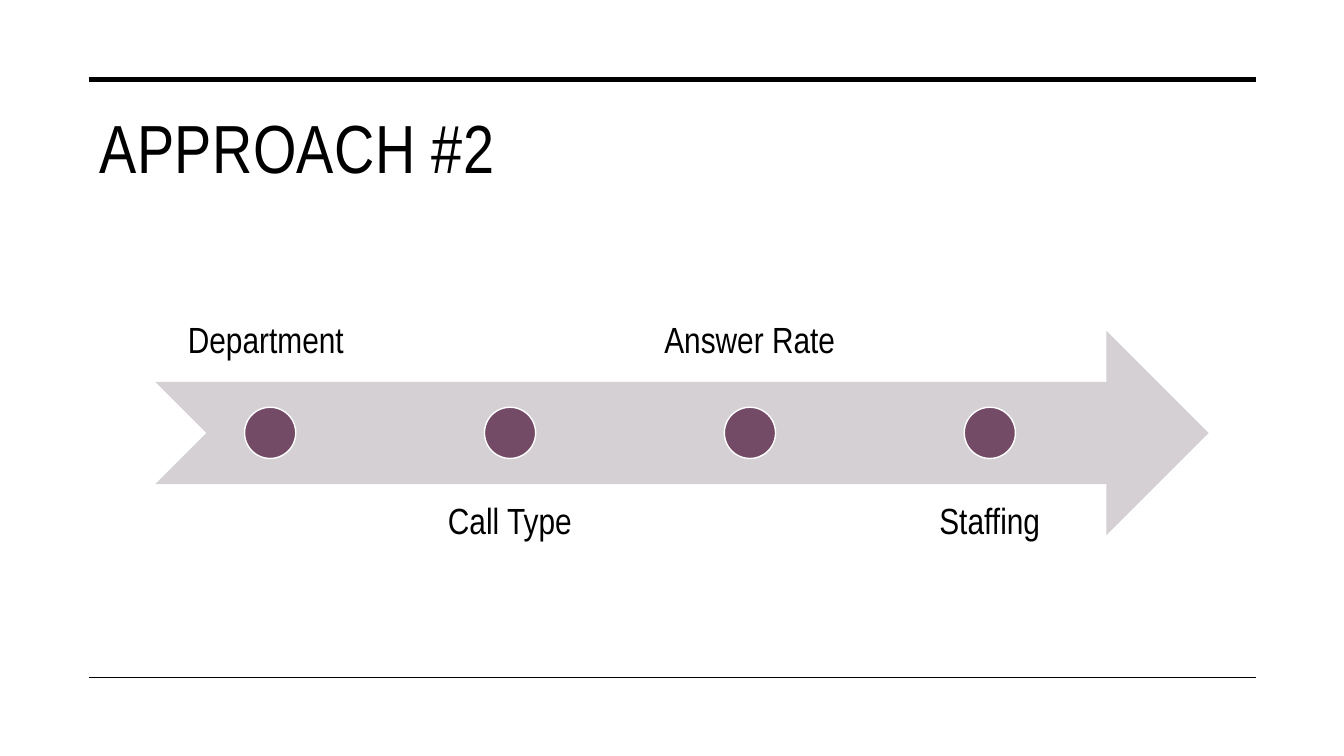
from pptx import Presentation
from pptx.dml.color import RGBColor
from pptx.enum.shapes import MSO_CONNECTOR, MSO_SHAPE
from pptx.enum.text import MSO_ANCHOR, PP_ALIGN
from pptx.oxml.ns import qn
from pptx.util import Pt
from lxml import etree

STRAIGHT = MSO_CONNECTOR.STRAIGHT
ARROW, DOT = MSO_SHAPE.NOTCHED_RIGHT_ARROW, MSO_SHAPE.OVAL
TOP, BOTTOM = MSO_ANCHOR.TOP, MSO_ANCHOR.BOTTOM
LEFT, CENTER = PP_ALIGN.LEFT, PP_ALIGN.CENTER

COLORS = {"ink": "000000", "arrow": "D5D0D3", "dot": "734B67", "ring": "FFFFFF"}
FONT = "Arial Narrow"
STEPS = ["Department ", "Call Type", "Answer Rate", "Staffing"]
STEP_LEFT, STEP_PITCH = 111.6, 171.36
LABEL_WIDTH, LABEL_HEIGHT = 162.72, 146.16
LABEL_TOPS = (126, 345.6)
DOT_SIZE, DOT_TOP = 36.6, 290.9


class SlideBuilder:
    """Draws styled elements on the current slide, with lengths in points."""

    def __init__(self, page):
        self.page = page

    def color(self, name):
        return RGBColor.from_string(COLORS[name])

    def rule(self, left, right, y, weight):
        line = self.page.shapes.add_connector(STRAIGHT, Pt(left), Pt(y), Pt(right), Pt(y))
        line.line.color.rgb = self.color("ink")
        line.line.width = Pt(weight)
        etree.SubElement(line._element.spPr, qn("a:effectLst"))

    def shape(self, kind, left, top, width, height, fill, outline=None):
        shape = self.page.shapes.add_shape(kind, Pt(left), Pt(top), Pt(width), Pt(height))
        shape.shadow.inherit = False
        shape.fill.solid()
        shape.fill.fore_color.rgb = self.color(fill)
        if outline:
            shape.line.color.rgb = self.color(outline)
            shape.line.width = Pt(1)
        else:
            shape.line.fill.background()

    def text(self, words, left, top, width, height, size, anchor, align,
             insets=(7.2, 3.6), line_spacing=1.0, tracking=0):
        box = self.page.shapes.add_textbox(Pt(left), Pt(top), Pt(width), Pt(height))
        frame = box.text_frame
        across, down = map(Pt, insets)
        frame_format = {"word_wrap": True, "vertical_anchor": anchor,
                        "margin_left": across, "margin_right": across,
                        "margin_top": down, "margin_bottom": down}
        for name, value in frame_format.items():
            setattr(frame, name, value)
        para = frame.paragraphs[0]
        para.alignment = align
        para.line_spacing = line_spacing
        span = para.add_run()
        span.text = words
        for name, value in {"name": FONT, "size": Pt(size)}.items():
            setattr(span.font, name, value)
        span.font.color.rgb = self.color("ink")
        if tracking:
            span._r.get_or_add_rPr().set("spc", str(round(tracking * 100)))


def main():
    deck = Presentation()
    deck.slide_width, deck.slide_height = Pt(960), Pt(540)
    builder = SlideBuilder(deck.slides.add_slide(deck.slide_layouts[6]))

    for y, weight in ((56.9, 3.5), (483.8, 1)):
        builder.rule(63.36, 897.12, y, weight)
    builder.text("APPROACH #2", 64.1, 69.8, 776.2, 67.7, 48.6, BOTTOM, LEFT, tracking=0.3)

    builder.shape(ARROW, 110.9, 236.2, 752.4, 146.16, "arrow")
    for index, step in enumerate(STEPS):
        left = STEP_LEFT + index * STEP_PITCH
        below = index % 2
        builder.text(step, left, LABEL_TOPS[below], LABEL_WIDTH, LABEL_HEIGHT, 26,
                     TOP if below else BOTTOM, CENTER, insets=(14.4, 14.4), line_spacing=0.9)
        builder.shape(DOT, left + (LABEL_WIDTH - DOT_SIZE) / 2, DOT_TOP,
                      DOT_SIZE, DOT_SIZE, "dot", "ring")

    deck.save("out.pptx")


if __name__ == "__main__":
    main()
